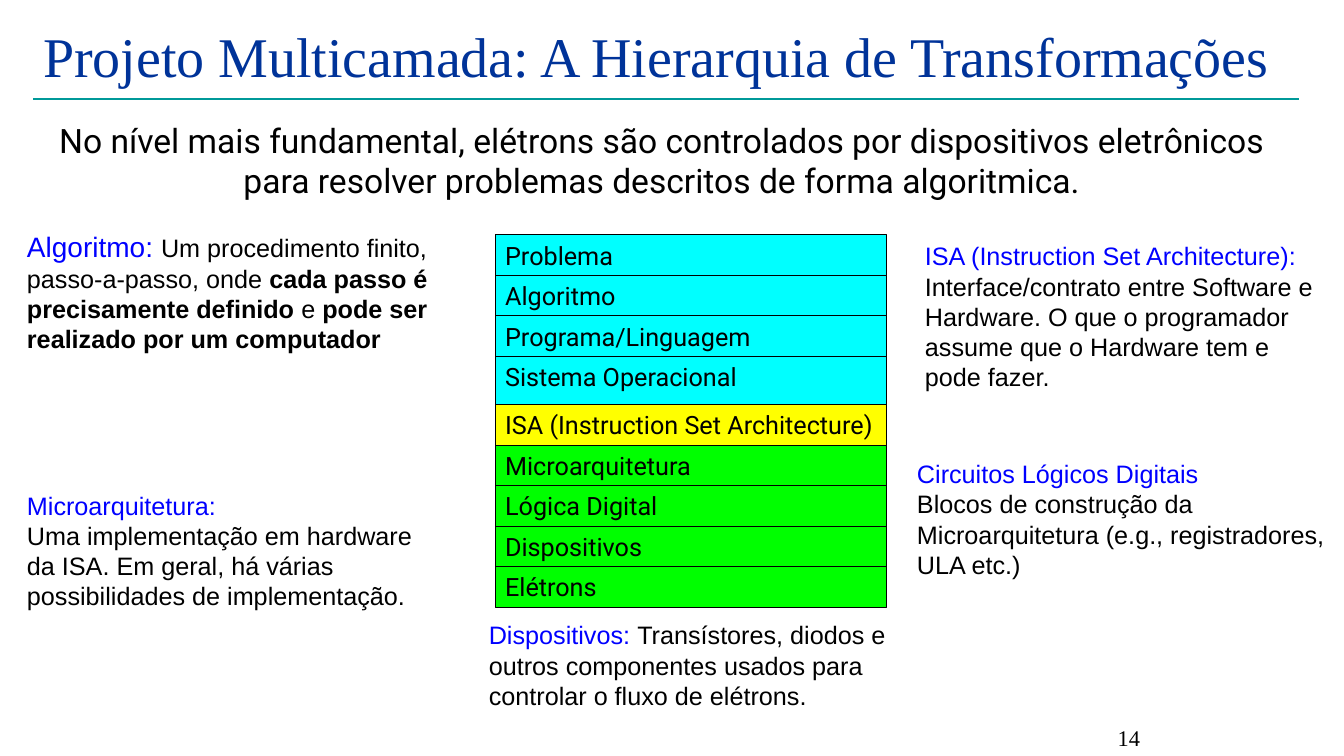
import pptx
import pptx.util
import pptx.dml.color
import pptx.enum.shapes
import pptx.enum.text
import pptx.oxml.ns
from lxml import etree

Cm = pptx.util.Cm
ANCHOR = pptx.enum.text.MSO_ANCHOR
ALIGN = pptx.enum.text.PP_ALIGN

THEME = {
    "ink": "000000", "title": "003399", "rule": "009999", "term": "0000FF",
    "soft": "00FFFF", "isa": "FFFF00", "hard": "00FF00",
    "serif": "Times New Roman", "sans": "Arial", "main": "Roboto",
    "head": 40, "lead": 24, "big": 20, "body": 18, "page": 16,
}

# Content: a run is (text, colour, size, bold)
TITLE = "Projeto Multicamada: A Hierarquia de Transformações"
LEAD = ("No nível mais fundamental, elétrons são controlados por dispositivos "
        "eletrônicos para resolver problemas descritos de forma algoritmica.")
PAGE = "14"

# Layers: (name, fill, height in cm)
LAYERS = [
    ("Problema", "soft", 1.02),
    ("Algoritmo", "soft", 1.02),
    ("Programa/Linguagem", "soft", 1.02),
    ("Sistema Operacional", "soft", 1.22),
    ("ISA (Instruction Set Architecture)", "isa", 1.02),
    ("Microarquitetura", "hard", 1.02),
    ("Lógica Digital", "hard", 1.02),
    ("Dispositivos", "hard", 1.02),
    ("Elétrons", "hard", 1.02),
]
STACK = (12.48, 5.92, 9.86)

# Notes: (left, top, width, height) in cm and paragraphs of runs
NOTES = [
    ((0.43, 5.66, 10.74, 3.43), [[
        ("Algoritmo: ", "term", "big", False),
        ("Um procedimento finito, passo-a-passo, onde ", "ink", "body", False),
        ("cada passo é precisamente definido ", "ink", "body", True),
        ("e", "ink", "body", False),
        (" pode ser realizado por um computador", "ink", "body", True)]]),
    ((23.06, 5.94, 10.39, 4.11), [
        [("ISA (Instruction Set Architecture):", "term", "body", False)],
        [("Interface/contrato entre Software e Hardware. O que o programador "
          "assume que o Hardware tem e pode fazer.", "ink", "body", False)]]),
    ((0.43, 12.22, 10.59, 3.33), [
        [("Microarquitetura:", "term", "body", False)],
        [("Uma implementação em hardware da ISA. Em geral, há várias "
          "possibilidades de implementação.", "ink", "body", False)]]),
    ((22.86, 11.43, 11.35, 3.33), [
        [("Circuitos Lógicos Digitais", "term", "body", False)],
        [("Blocos de construção da Microarquitetura (e.g., registradores, "
          "ULA etc.)", "ink", "body", False)]]),
    ((12.07, 15.49, 11.35, 2.57), [[
        ("Dispositivos: ", "term", "body", False),
        ("Transístores, diodos e outros componentes usados para controlar "
         "o fluxo de elétrons.", "ink", "body", False)]]),
]


def tint(key):
    return pptx.dml.color.RGBColor.from_string(THEME[key])


def write(frame, paras, face, align=ALIGN.LEFT, anchor=ANCHOR.TOP, wrap=True):
    frame.word_wrap = wrap
    frame.vertical_anchor = anchor
    for i, runs in enumerate(paras):
        para = frame.add_paragraph() if i else frame.paragraphs[0]
        para.alignment = align
        for text, color, size, bold in runs:
            run = para.add_run()
            run.text = text
            run.font.name = THEME[face]
            run.font.size = pptx.util.Pt(THEME[size])
            run.font.bold = bold
            run.font.color.rgb = tint(color)


def label(slide, box, paras, face, **style):
    shape = slide.shapes.add_textbox(*map(Cm, box))
    write(shape.text_frame, paras, face, **style)


def rule(slide, left, right, top):
    line = slide.shapes.add_connector(
        pptx.enum.shapes.MSO_CONNECTOR.STRAIGHT,
        Cm(left), Cm(top), Cm(right), Cm(top))
    line.line.color.rgb = tint("rule")
    line.line.width = pptx.util.Pt(1.5)
    etree.SubElement(line.element.spPr, pptx.oxml.ns.qn("a:effectLst"))


def stack(slide):
    left, top, width = STACK
    for name, fill, height in LAYERS:
        shape = slide.shapes.add_shape(
            pptx.enum.shapes.MSO_SHAPE.RECTANGLE,
            Cm(left), Cm(top), Cm(width), Cm(height))
        shape.shadow.inherit = False
        shape.fill.solid()
        shape.fill.fore_color.rgb = tint(fill)
        shape.line.color.rgb = tint("ink")
        shape.line.width = pptx.util.Pt(0.75)
        write(shape.text_frame, [[(name, "ink", "body", False)]], "main",
              wrap=False)
        top += height


def main():
    deck = pptx.Presentation()
    deck.slide_width, deck.slide_height = Cm(33.87), Cm(19.05)
    slide = deck.slides.add_slide(deck.slide_layouts[6])

    # Heading and lead
    rule(slide, 0.84, 32.74, 2.49)
    label(slide, (0.84, 0.43, 31.9, 1.93),
          [[(TITLE, "title", "head", False)]], "serif", anchor=ANCHOR.MIDDLE)
    label(slide, (0.84, 2.9, 31.67, 2.31),
          [[(LEAD, "ink", "lead", False)]], "main", align=ALIGN.CENTER)

    # Layers and their notes
    stack(slide)
    for box, paras in NOTES:
        label(slide, box, paras, "sans")

    # Page number
    label(slide, (23.06, 17.78, 5.92, 1.27),
          [[(PAGE, "ink", "page", False)]], "serif",
          align=ALIGN.RIGHT, anchor=ANCHOR.BOTTOM)
    deck.save("out.pptx")


if __name__ == "__main__":
    main()
